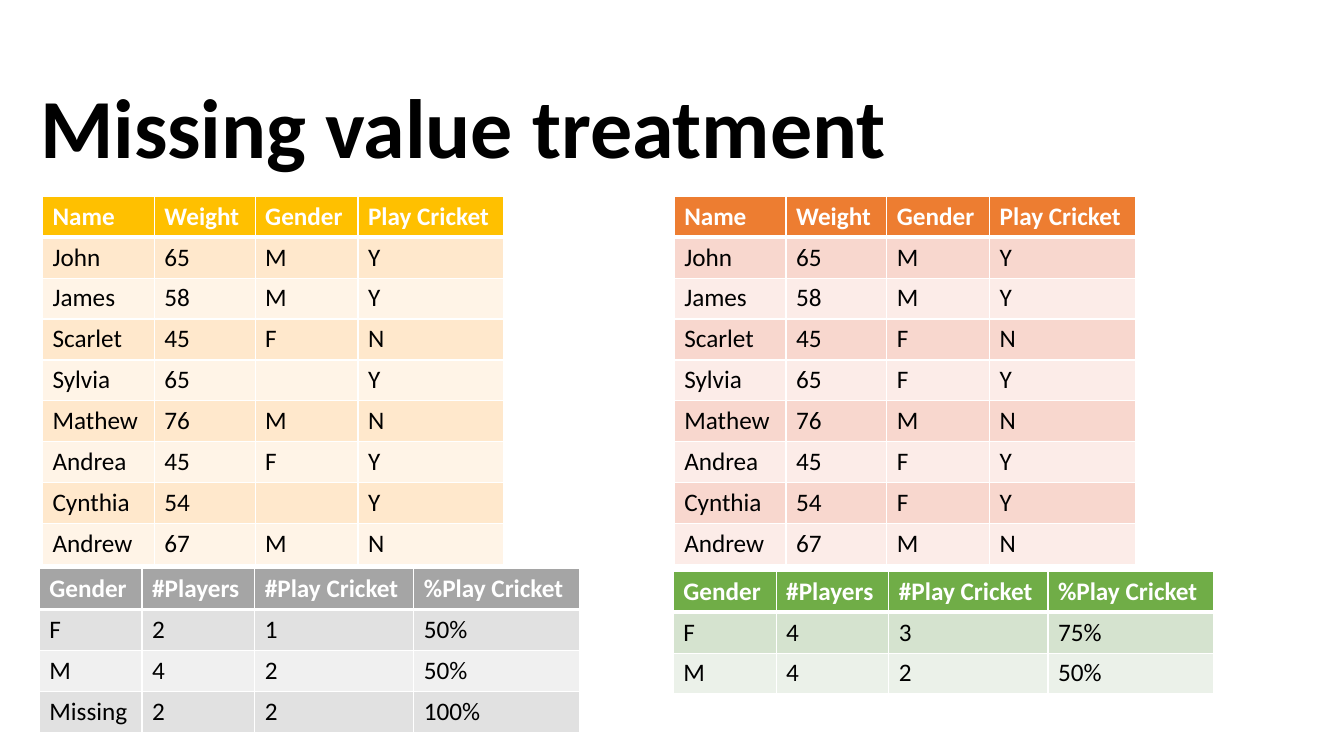
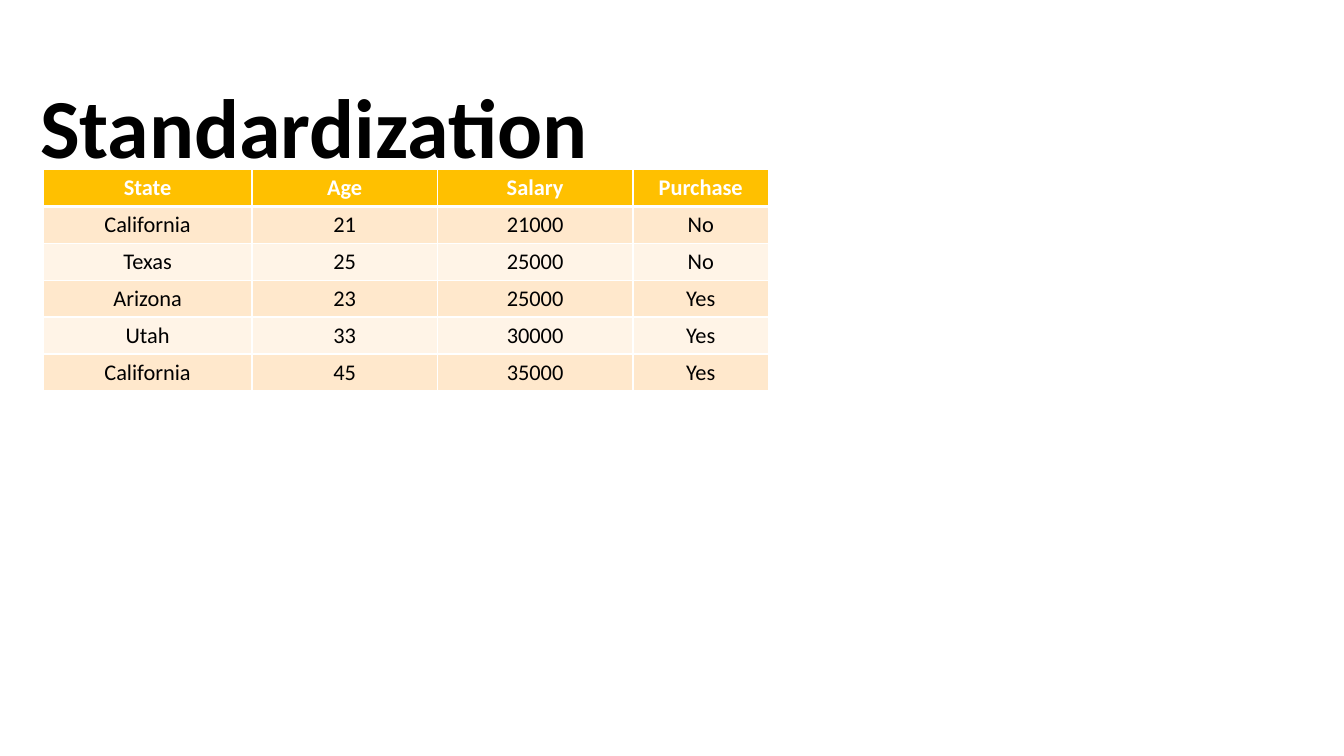
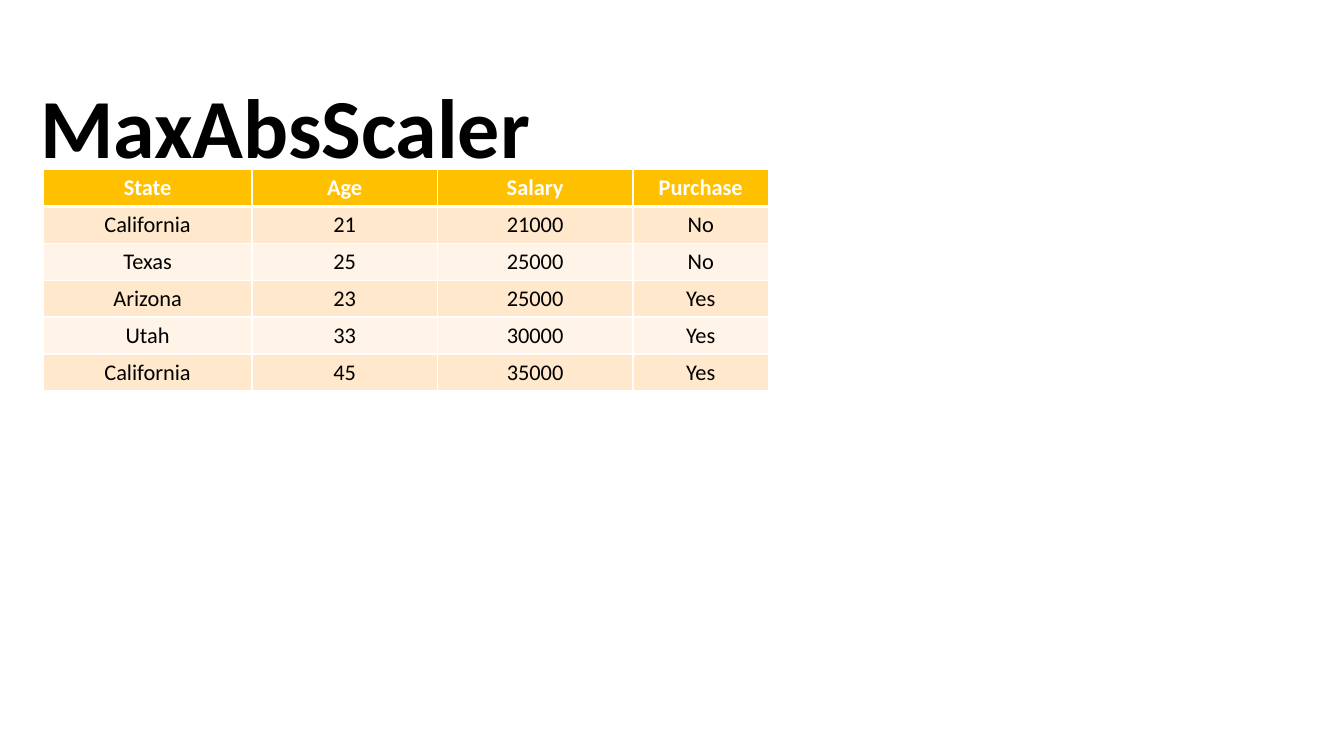
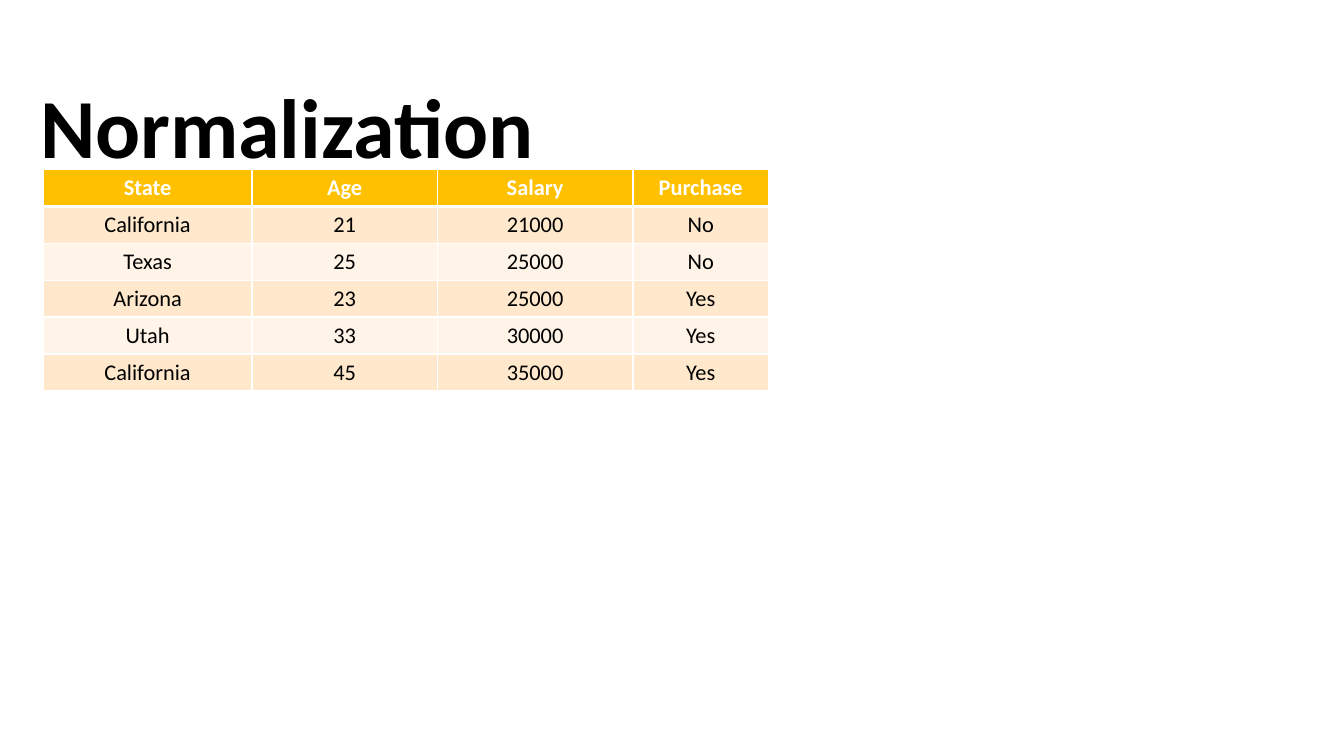
from lxml.etree import SubElement
from pptx import Presentation
from pptx.dml.color import RGBColor
from pptx.enum.text import MSO_AUTO_SIZE, PP_ALIGN as Align
from pptx.oxml.ns import qn
from pptx.util import Cm, Pt

FONT = "Calibri"
BLACK = RGBColor(0x00, 0x00, 0x00)
WHITE = RGBColor(0xFF, 0xFF, 0xFF)

# header fill, odd row fill, even row fill
GOLD = (RGBColor(0xFF, 0xC0, 0x00), RGBColor(0xFF, 0xE8, 0xCC), RGBColor(0xFF, 0xF4, 0xE7))
ORANGE = (RGBColor(0xED, 0x7D, 0x31), RGBColor(0xF8, 0xD7, 0xCE), RGBColor(0xFC, 0xEC, 0xE8))
GREY = (RGBColor(0xA5, 0xA5, 0xA5), RGBColor(0xE1, 0xE1, 0xE1), RGBColor(0xF0, 0xF0, 0xF0))
GREEN = (RGBColor(0x70, 0xAD, 0x47), RGBColor(0xD5, 0xE3, 0xCF), RGBColor(0xEB, 0xF1, 0xE9))

PLAYERS = [
    ("Name", "Weight", "Gender", "Play Cricket"),
    ("John", "65", "M", "Y"),
    ("James", "58", "M", "Y"),
    ("Scarlet", "45", "F", "N"),
    ("Sylvia", "65", "", "Y"),
    ("Mathew", "76", "M", "N"),
    ("Andrea", "45", "F", "Y"),
    ("Cynthia", "54", "", "Y"),
    ("Andrew", "67", "M", "N"),
]
TREATED_PLAYERS = [tuple(value or "F" for value in player) for player in PLAYERS]
SUMMARY_HEADER = ("Gender", "#Players", "#Play Cricket", "%Play Cricket")
SUMMARY = [
    SUMMARY_HEADER,
    ("F", "2", "1", "50%"),
    ("M", "4", "2", "50%"),
    ("Missing", "2", "2", "100%"),
]
TREATED_SUMMARY = [
    SUMMARY_HEADER,
    ("F", "4", "3", "75%"),
    ("M", "4", "2", "50%"),
]
CUSTOMERS = [
    ("State", "Age", "Salary", "Purchase"),
    ("California", "21", "21000", "No"),
    ("Texas", "25", "25000", "No"),
    ("Arizona", "23", "25000", "Yes"),
    ("Utah", "33", "30000", "Yes"),
    ("California", "45", "35000", "Yes"),
]

# column widths, row height and vertical cell margin in cm, text size in points
PLAYER_GRID = dict(widths=(2.82, 2.54, 2.59, 3.68), height=1.03, margin=0.12, size=18, align=Align.LEFT)
SUMMARY_GRID = dict(PLAYER_GRID, widths=(2.59, 2.84, 4.01, 4.17))
CUSTOMER_GRID = dict(widths=(5.26, 4.67, 4.93, 3.42), height=0.93, margin=0.12, size=16, align=Align.CENTER)

CUSTOMER_TABLES = [(CUSTOMERS, GOLD, CUSTOMER_GRID, 1.09, 4.27)]
PAGES = [
    ("Missing value treatment", 22.07, [
        (PLAYERS, GOLD, PLAYER_GRID, 1.07, 4.95),
        (TREATED_PLAYERS, ORANGE, PLAYER_GRID, 16.99, 4.95),
        (SUMMARY, GREY, SUMMARY_GRID, 0.99, 14.33),
        (TREATED_SUMMARY, GREEN, SUMMARY_GRID, 16.97, 14.4),
    ]),
    ("Standardization", 14.48, CUSTOMER_TABLES),
    ("MaxAbsScaler", 13, CUSTOMER_TABLES),
    ("Normalization", 13.11, CUSTOMER_TABLES),
]


def style_text(para, size, color, bold):
    for span in para.runs:
        span.font.name = FONT
        span.font.size = Pt(size)
        span.font.color.rgb = color
        span.font.bold = bold


def add_title(page, text, width):
    box = page.shapes.add_textbox(Cm(0.76), Cm(1.75), Cm(width), Cm(2.82))
    frame = box.text_frame
    frame.text = text
    frame.word_wrap = False
    frame.auto_size = MSO_AUTO_SIZE.SHAPE_TO_FIT_TEXT
    style_text(frame.paragraphs[0], 60, BLACK, True)


def add_borders(cell, top, bottom):
    properties = cell._tc.get_or_add_tcPr()
    for side, width in (("L", 1), ("R", 1), ("T", top), ("B", bottom)):
        line = SubElement(properties, qn(f"a:ln{side}"), w=str(Pt(width)))
        fill = SubElement(line, qn("a:solidFill"))
        SubElement(fill, qn("a:srgbClr"), val=str(WHITE))


def add_grid(page, rows, palette, grid, left, top):
    widths, height = grid["widths"], grid["height"]
    frame = page.shapes.add_table(len(rows), len(widths), Cm(left), Cm(top),
                                  Cm(sum(widths)), Cm(height * len(rows)))
    table = frame.table
    table.horz_banding = False
    header_fill, *band_fills = palette
    for column, width in zip(table.columns, widths):
        column.width = Cm(width)
    for index, values in enumerate(rows):
        table.rows[index].height = Cm(height)
        header = index == 0
        for column, value in enumerate(values):
            cell = table.cell(index, column)
            cell.margin_top = cell.margin_bottom = Cm(grid["margin"])
            add_borders(cell, 3 if index == 1 else 1, 3 if header else 1)
            cell.fill.solid()
            cell.fill.fore_color.rgb = header_fill if header else band_fills[(index - 1) % 2]
            if value:
                cell.text_frame.text = value
                para = cell.text_frame.paragraphs[0]
                para.alignment = grid["align"]
                style_text(para, grid["size"], WHITE if header else BLACK, header)


def main():
    deck = Presentation()
    deck.slide_width, deck.slide_height = Cm(33.87), Cm(19.05)
    for title, width, tables in PAGES:
        page = deck.slides.add_slide(deck.slide_layouts[6])
        add_title(page, title, width)
        for table in tables:
            add_grid(page, *table)
    deck.save("out.pptx")


if __name__ == "__main__":
    main()
